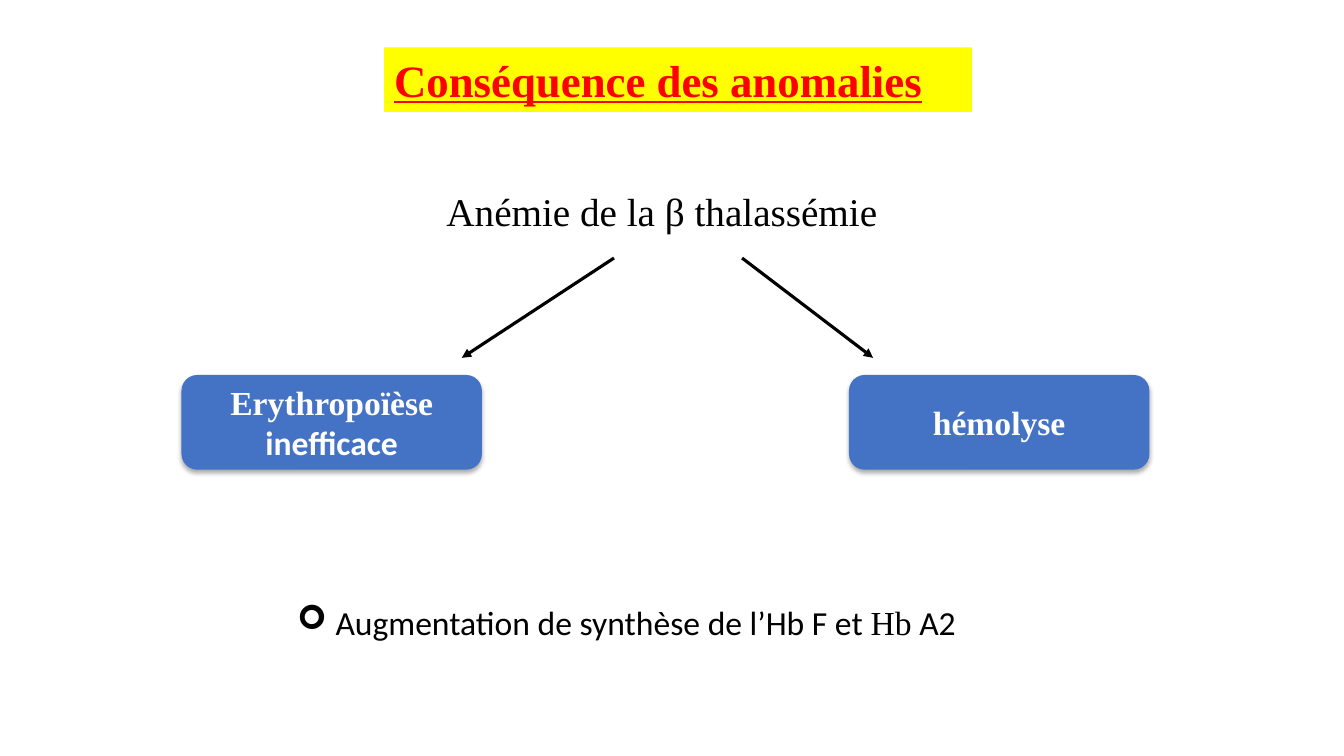
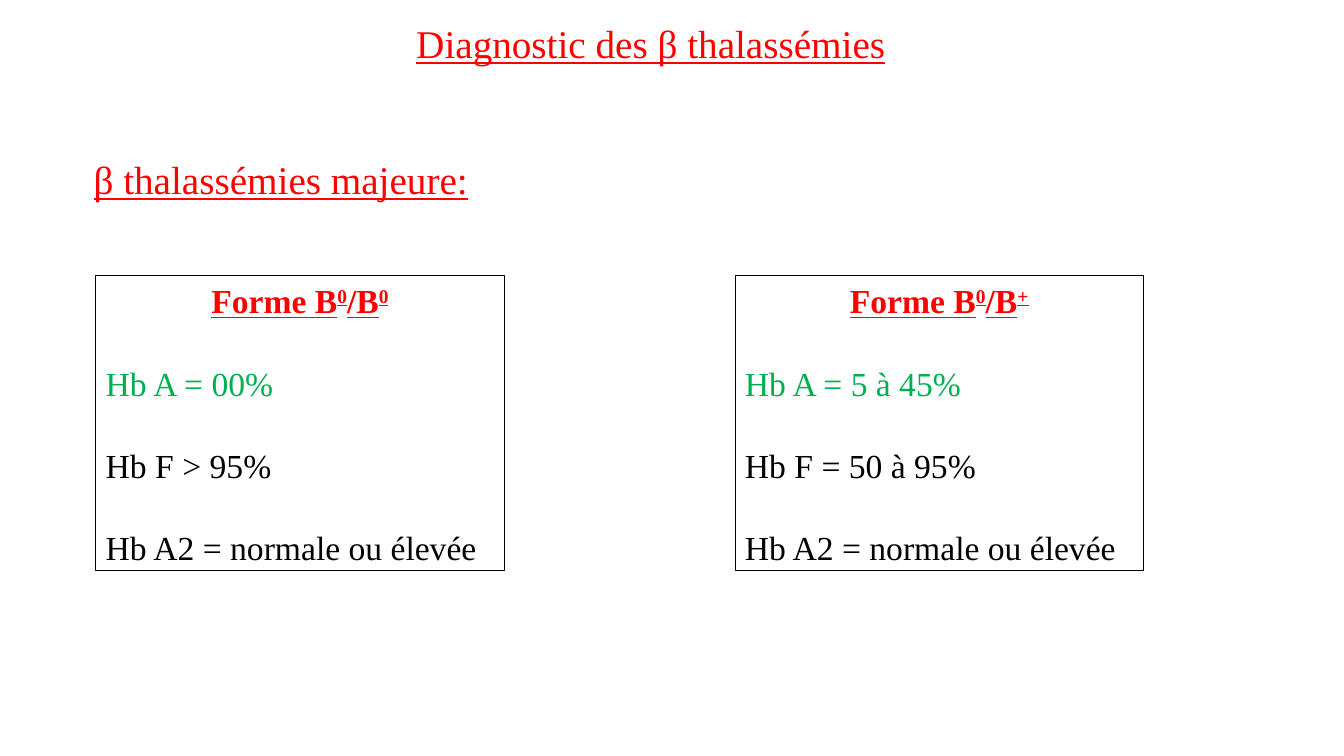
import pptx
import pptx.util
import pptx.oxml
import pptx.oxml.ns
import pptx.dml.color
import pptx.enum.shapes
import pptx.enum.text
import lxml.etree

Inches = pptx.util.Inches
Pt = pptx.util.Pt
Rgb = pptx.dml.color.RGBColor.from_string
SHAPE = pptx.enum.shapes.MSO_SHAPE
ANCHOR = pptx.enum.text.MSO_ANCHOR
ALIGN = pptx.enum.text.PP_ALIGN
qn = pptx.oxml.ns.qn

HUES = {"red": "FF0000", "yellow": "FFFF00", "blue": "4472C4",
        "green": "00B050", "black": "000000", "white": "FFFFFF"}
SERIF, SANS = "Times New Roman", "Calibri"

BODY = {"name": SERIF, "size": Pt(24), "color": "black"}
LEAD = {**BODY, "size": Pt(28)}
HEAD = {**LEAD, "color": "red", "underline": True}
TITLE = {**HEAD, "size": Pt(32), "bold": True}
FORM = {**TITLE, "size": Pt(24)}
POWER = {**FORM, "baseline": 30}
LABEL = {**BODY, "color": "white", "bold": True}
PLAIN = {**BODY, "name": SANS}

SHADOW = (
    '<a:effectLst xmlns:a="http://schemas.openxmlformats.org/drawingml/2006/main">'
    '<a:outerShdw blurRad="44450" dist="27940" dir="5400000" algn="ctr" rotWithShape="0">'
    '<a:srgbClr val="000000"><a:alpha val="32000"/></a:srgbClr>'
    '</a:outerShdw></a:effectLst>')


def write(frame, lines, anchor=ANCHOR.TOP, align=ALIGN.LEFT, gap=0):
    """Fill a text frame; each line is a list of (text, format) pairs."""
    frame.word_wrap = True
    frame.vertical_anchor = anchor
    for i, line in enumerate(lines):
        para = frame.add_paragraph() if i else frame.paragraphs[0]
        para.alignment = align
        para.space_before = Pt(gap if i else 0)
        for text, form in line:
            run = para.add_run()
            run.text = text
            for key, value in form.items():
                if key == "color":
                    run.font.color.rgb = Rgb(HUES[value])
                elif key == "baseline":
                    run._r.get_or_add_rPr().set(key, str(value * 1000))
                else:
                    setattr(run.font, key, value)


def block(slide, kind, box, fill=None, line=None):
    shape = slide.shapes.add_shape(kind, *map(Inches, box))
    shape.shadow.inherit = False
    if fill:
        shape.fill.solid()
        shape.fill.fore_color.rgb = Rgb(HUES[fill])
    else:
        shape.fill.background()
    if line:
        shape.line.color.rgb = Rgb(HUES[line])
        shape.line.width = Pt(0.75)
    else:
        shape.line.fill.background()
    return shape


deck = pptx.Presentation()
deck.slide_width, deck.slide_height = Inches(13.33), Inches(7.5)
first, second = [deck.slides.add_slide(deck.slide_layouts[6]) for _ in range(2)]

# Headings of both slides
title = block(first, SHAPE.RECTANGLE, (3.81, 0.47, 5.83, 0.64), fill="yellow")
write(title.text_frame, [[("Conséquence des anomalies", TITLE)]])

for slide, box, text, form in [
        (first, (4.33, 1.81, 4.97, 0.57), "Anémie de la β thalassémie", LEAD),
        (second, (4.03, 0.14, 6.88, 0.57), "Diagnostic des β thalassémies", HEAD),
        (second, (0.83, 1.49, 6.88, 1.04), "β thalassémies majeure:", HEAD)]:
    area = slide.shapes.add_textbox(*map(Inches, box))
    write(area.text_frame, [[(text, form)]])

# Slide 1: two arrows, each to a cause
for start, end, left, cause in [
        (6.09, 4.58, 1.8, [("Erythropoïèse", LABEL),
                           (" inefficace", {**LABEL, "name": SANS})]),
        (7.36, 8.66, 8.42, [("hémolyse", LABEL)])]:
    arrow = first.shapes.add_connector(
        pptx.enum.shapes.MSO_CONNECTOR.STRAIGHT,
        Inches(start), Inches(2.56), Inches(end), Inches(3.55))
    arrow.line.color.rgb = Rgb(HUES["black"])
    arrow.line.width = Pt(2.25)
    tip = lxml.etree.SubElement(arrow.line._get_or_add_ln(), qn("a:tailEnd"))
    tip.set("type", "triangle")
    lxml.etree.SubElement(arrow._element.spPr, qn("a:effectLst"))

    card = block(first, SHAPE.ROUNDED_RECTANGLE, (left, 3.72, 2.98, 0.94), fill="blue")
    props = card._element.spPr
    props.replace(props.find(qn("a:effectLst")), pptx.oxml.parse_xml(SHADOW))
    write(card.text_frame, [cause], ANCHOR.MIDDLE, ALIGN.CENTER)

note = first.shapes.add_textbox(*map(Inches, (2.85, 5.92, 8.84, 0.5)))
write(note.text_frame, [[("Augmentation de synthèse de l’Hb F et ", PLAIN),
                         ("Hb", BODY), (" A2", PLAIN)]])
props = note.text_frame.paragraphs[0]._p.get_or_add_pPr()
props.set("marL", str(Inches(0.38)))
props.set("indent", str(-Inches(0.38)))
lxml.etree.SubElement(props, qn("a:buFont")).set("typeface", "Wingdings")
lxml.etree.SubElement(props, qn("a:buChar")).set("char", "➢")

# Slide 2: one box for each form
for left, sign, adult, fetal in [(0.95, "0", "= 00%", "> 95%"),
                                 (7.29, "+", "= 5 à 45%", "= 50 à 95%")]:
    panel = block(second, SHAPE.RECTANGLE, (left, 2.73, 4.05, 2.93), line="black")
    write(panel.text_frame, [
        [("Forme B", FORM), ("0", POWER), ("/B", FORM), (sign, POWER)],
        [("Hb A " + adult, {**BODY, "color": "green"})],
        [("Hb F " + fetal, BODY)],
        [("Hb A2 = normale ou élevée", BODY)]], gap=30)
    panel.text_frame.paragraphs[0].alignment = ALIGN.CENTER

deck.save("out.pptx")
